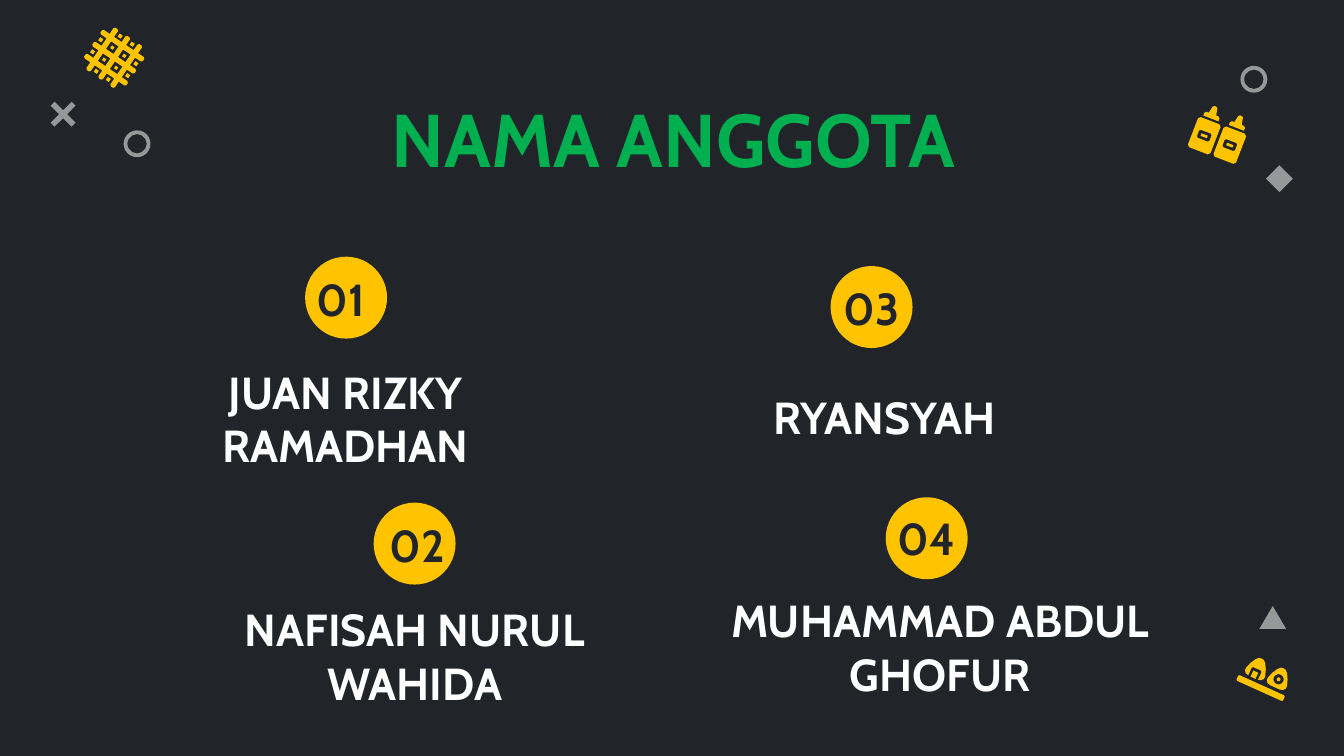
from math import cos, sin, pi, radians

from lxml.etree import SubElement
from pptx import Presentation
from pptx.dml.color import RGBColor as Rgb
from pptx.enum.shapes import MSO_SHAPE as Kind
from pptx.enum.text import MSO_ANCHOR as Anchor, PP_ALIGN as Align
from pptx.oxml.ns import qn
from pptx.util import Inches, Pt

DARK = Rgb(0x21, 0x25, 0x29)
GOLD = Rgb(0xFF, 0xC3, 0x00)
GREEN = Rgb(0x00, 0xB0, 0x50)
WHITE = Rgb(0xFF, 0xFF, 0xFF)
FONT = "Cabin"
UNIT = Inches(0.01)

MARKS = [
    (Kind.DONUT, 9.23, 0.49, 0.2, 0.2, 0.14),
    (Kind.DONUT, 0.92, 0.97, 0.2, 0.2, 0.14),
    (Kind.MATH_MULTIPLY, 0.32, 0.7, 0.3, 0.3, 0.14),
    (Kind.ISOSCELES_TRIANGLE, 9.37, 4.51, 0.2, 0.17, 0.5),
    (Kind.DIAMOND, 9.42, 1.23, 0.2, 0.2, None),
]

MEMBERS = [
    ("01", (2.27, 1.91), (2.13, 1.98), "JUAN RIZKY RAMADHAN", (1.4, 3.13, 2.34)),
    ("02", (2.78, 3.74), (2.7, 3.81), "NAFISAH NURUL WAHIDA", (1.19, 4.9, 3.79)),
    ("03", (6.18, 1.98), (6.08, 2.05), "RYANSYAH", (5.41, 2.92, 2.34)),
    ("04", (6.59, 3.7), (6.49, 3.76), "MUHAMMAD ABDUL GHOFUR", (5.31, 4.83, 3.37)),
]


def paint(shape, color, alpha=None):
    shape.shadow.inherit = False
    shape.fill.solid()
    shape.fill.fore_color.rgb = color
    shape.line.fill.background()
    if alpha:
        tone = shape.fill._xPr.find(qn("a:solidFill"))[0]
        SubElement(tone, qn("a:alpha"), val=str(alpha * 1000))


def add_mark(shapes, kind, x, y, w, h, adjust=None, color=WHITE, alpha=53):
    mark = shapes.add_shape(kind, Inches(x), Inches(y), Inches(w), Inches(h))
    if adjust is not None:
        mark.adjustments[0] = adjust
    paint(mark, color, alpha)


def add_text(shapes, text, x, y, w, h, size, color, anchor):
    box = shapes.add_textbox(Inches(x), Inches(y), Inches(w), Inches(h))
    frame = box.text_frame
    frame.word_wrap = True
    frame.vertical_anchor = anchor
    frame.margin_left = frame.margin_right = Inches(0.1)
    frame.margin_top = frame.margin_bottom = Inches(0.1)
    frame.text = text
    line = frame.paragraphs[0]
    line.alignment = Align.CENTER
    font = line.runs[0].font
    font.name, font.size, font.bold = FONT, Pt(size), True
    font.color.rgb = color


def turn(x, y, angle):
    c, s = cos(radians(angle)), sin(radians(angle))
    return x * c - y * s, x * s + y * c


def add_piece(shapes, paths, hub, angle):
    paths = [[(x * UNIT, y * UNIT) for x, y in path] for path in paths]
    pen = shapes.build_freeform(*paths[0][0])
    pen.add_line_segments(paths[0][1:])
    for path in paths[1:]:
        pen.move_to(*path[0])
        pen.add_line_segments(path[1:])
    piece = pen.convert_to_shape()
    mid = piece.left + piece.width / 2, piece.top + piece.height / 2
    x, y = turn(*mid, angle)
    piece.left = int(Inches(hub[0]) + x - piece.width / 2)
    piece.top = int(Inches(hub[1]) + y - piece.height / 2)
    piece.rotation = angle
    paint(piece, GOLD)


def block(x, y, w, h, cut=0):
    w, h = w / 2, h / 2
    if not cut:
        return [(x - w, y - h), (x + w, y - h), (x + w, y + h), (x - w, y + h)]
    return [(x - w, y - h + cut), (x - w + cut, y - h),
            (x + w - cut, y - h), (x + w, y - h + cut),
            (x + w, y + h - cut), (x + w - cut, y + h),
            (x - w + cut, y + h), (x - w, y + h - cut)]


def disc(x, y, r):
    return [(x + r * cos(i * pi / 12), y + r * sin(i * pi / 12)) for i in range(24)]


def mirror(mid, half):
    return ([(mid - x, y) for x, y in half]
            + [(mid + x, y) for x, y in reversed(half)])


def add_waffle(shapes, hub, angle):
    step, bar = 10.8, 4
    rim = step + bar / 2
    finger = [(2, -rim), (2, -17.8), (1, -19), (0, -19)]
    side = [p for i in (-1, 0, 1) for p in mirror(i * step, finger)]
    edge = [turn(x, y, q * 90) for q in range(4) for x, y in side]
    cells = [(x, y) for x in (-5.4, 5.4) for y in (-5.4, 5.4)]
    holes = [block(x, y, step - bar, step - bar) for x, y in cells]
    add_piece(shapes, [edge] + holes, hub, angle)
    for x, y in cells:
        add_piece(shapes, [block(x, y, 2.4, 2.4)], hub, angle)
    for q in range(4):
        for x in (-5.4, 5.4):
            add_piece(shapes, [block(*turn(x, -15.8, q * 90), 2.8, 2.8)], hub, angle)


def add_bottle(shapes, hub, angle):
    label = block(0, 0, 10, 6.4, 1)
    add_piece(shapes, [block(0, 0, 18, 24, 1.6), label], hub, angle)
    add_piece(shapes, [block(0, 0, 5, 2)], hub, angle)
    cap = [(6, -13.8), (6, -16), (4.8, -17.2), (3, -17.2),
           (1.8, -22.5), (0.8, -23.4)]
    add_piece(shapes, [mirror(0, cap)], hub, angle)


def add_sushi(shapes, hub, angle):
    dome = [(4, -4.8), (6.5, -5.6), (7.8, -7.4), (7.8, -9.4),
            (6.2, -14), (4, -18), (2, -20), (0, -20.4)]
    slot = [(4, -4.8), (4, -11), (3.2, -11.9)]
    left, right = -8.3, 9.5
    add_piece(shapes, [block(0, 0, 38, 4.6, 0.8)], hub, angle)
    arch = mirror(left, dome) + mirror(left, slot)[::-1]
    add_piece(shapes, [arch], hub, angle)
    add_piece(shapes, [block(left, -7.2, 4, 5)], hub, angle)
    add_piece(shapes, [mirror(right, dome), disc(right, -11.4, 3.8)], hub, angle)
    add_piece(shapes, [disc(right, -11.4, 1.4)], hub, angle)


def main():
    deck = Presentation()
    deck.slide_width, deck.slide_height = Inches(10), Inches(90 / 16)
    slide = deck.slides.add_slide(deck.slide_layouts[6])
    slide.background.fill.solid()
    slide.background.fill.fore_color.rgb = DARK
    shapes = slide.shapes
    add_sushi(shapes, (9.38, 5.12), 24.3)
    add_waffle(shapes, (0.85, 0.43), 34.2)
    for hub in ((9.15, 1.08), (8.96, 1.01)):
        add_bottle(shapes, hub, 21)
    for mark in MARKS:
        add_mark(shapes, *mark)
    add_text(shapes, "NAMA ANGGOTA", 2.14, 0.59, 5.74, 0.52, 40, GREEN, Anchor.TOP)
    for number, dot, spot, name, (x, y, w) in MEMBERS:
        add_mark(shapes, Kind.OVAL, *dot, 0.61, 0.61, color=GOLD, alpha=None)
        add_text(shapes, number, *spot, 0.81, 0.48, 24, DARK, Anchor.MIDDLE)
        add_text(shapes, name, x, y, w, 0.48, 24, WHITE, Anchor.BOTTOM)
    deck.save("out.pptx")


if __name__ == "__main__":
    main()
